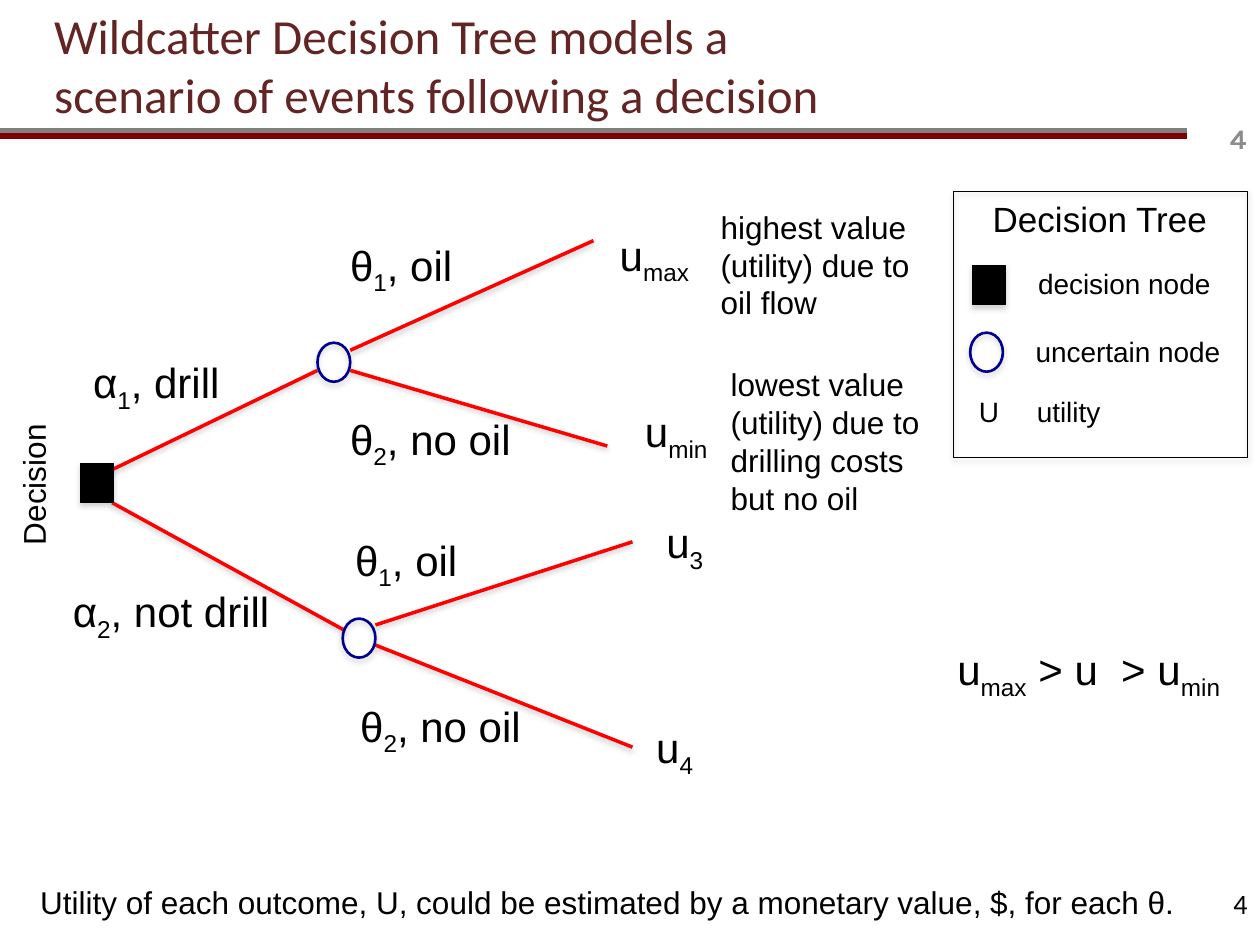
from dataclasses import dataclass

from lxml import etree
from pptx import Presentation
from pptx.dml.color import RGBColor
from pptx.enum.shapes import MSO_CONNECTOR, MSO_SHAPE
from pptx.enum.text import MSO_ANCHOR, MSO_AUTO_SIZE, PP_ALIGN
from pptx.oxml.ns import qn
from pptx.util import Inches, Pt

STRAIGHT = MSO_CONNECTOR.STRAIGHT
RECTANGLE, OVAL = MSO_SHAPE.RECTANGLE, MSO_SHAPE.OVAL
LEFT, RIGHT = PP_ALIGN.LEFT, PP_ALIGN.RIGHT
TOP, MIDDLE = MSO_ANCHOR.TOP, MSO_ANCHOR.MIDDLE

BLACK = RGBColor(0x00, 0x00, 0x00)
RED = RGBColor(0xFF, 0x00, 0x00)
NAVY = RGBColor(0x00, 0x00, 0x90)
GRAY = RGBColor(0x80, 0x80, 0x80)
MAROON = RGBColor(0x80, 0x00, 0x00)
TITLE_BROWN = RGBColor(0x63, 0x25, 0x23)
NUMBER_GRAY = RGBColor(0x8C, 0x8C, 0x8C)

NODE_WIDTH, NODE_HEIGHT = 0.26, 0.31
LABEL_HEIGHT = 0.51


@dataclass
class Label:
    """Text in a box; parts between underscores are subscripts."""
    text: str
    left: float
    top: float
    width: float
    height: float = LABEL_HEIGHT
    size: int = 24
    wrap: bool = False
    font: str = "Arial"
    color: RGBColor = BLACK
    bold: bool = False
    align: PP_ALIGN = LEFT
    anchor: MSO_ANCHOR = TOP
    rotation: float = 0


@dataclass
class Branch:
    start: tuple[float, float]
    end: tuple[float, float]


@dataclass
class Node:
    kind: MSO_SHAPE
    left: float
    top: float


BRANCHES = [
    Branch((0.74, 3.8), (2.52, 2.94)),
    Branch((0.89, 3.99), (2.73, 5)),
    Branch((2.78, 2.78), (4.71, 1.91)),
    Branch((2.78, 2.94), (4.82, 3.54)),
    Branch((2.98, 4.96), (5.02, 4.3)),
    Branch((2.98, 5.12), (5.02, 5.93)),
]

NODES = [
    Node(RECTANGLE, 0.64, 3.68),
    Node(OVAL, 2.52, 2.72),
    Node(OVAL, 2.72, 4.91),
    # Legend samples
    Node(RECTANGLE, 7.72, 2.11),
    Node(OVAL, 7.7, 2.64),
]

LABELS = [
    # Slide numbers
    Label("4", 9.17, 0.9, 0.82, 0.4, 16, True, "Karla", NUMBER_GRAY, True, RIGHT, MIDDLE),
    Label("4", 7.67, 6.97, 2.33, 0.4, 16, True, "Calibri", align=RIGHT, anchor=MIDDLE),
    # Decisions and events
    Label("Decision", -0.32, 3.64, 1.17, 0.4, 18, rotation=270),
    Label("α_1_, drill", 0.64, 2.78, 1.23),
    Label("α_2_, not drill", 0.48, 4.6, 2.21, wrap=True),
    Label("θ_1_, oil", 2.68, 1.85, 1.04),
    Label("θ_2_, no oil", 2.68, 3.23, 1.51),
    Label("θ_1_, oil", 2.72, 4.19, 1.04),
    Label("θ_2_, no oil", 2.76, 5.51, 1.51),
    # Utilities
    Label("u_max_", 4.82, 1.77, 0.81),
    Label("u_min_", 5.02, 3.17, 0.75),
    Label("u_3_", 5.19, 4.05, 0.51),
    Label("u_4_", 5.11, 5.68, 0.51),
    Label("u_max_ > u  > u_min_", 7.5, 5.06, 2.5),
    Label("highest value (utility) due to oil flow", 5.62, 1.6, 1.72, 1.01, 18, True),
    Label("lowest value (utility) due to drilling costs but no oil",
          5.7, 2.85, 1.84, 1.31, 18, True),
    # Legend
    Label("Decision Tree", 7.78, 1.52, 1.92, 0.44, 20),
    Label("decision node", 8.14, 2.07, 1.69, 0.37, 16, True),
    Label("uncertain node", 8.12, 2.61, 1.69, 0.37, 16, True),
    Label("U", 7.67, 3.08, 0.4, 0.37, 16, True),
    Label("utility", 8.13, 3.08, 1.15, 0.37, 16, True),
    # Closing remark
    Label("Utility of each outcome, U, could be estimated by a monetary value, $, for each θ.",
          0.22, 6.96, 9.78, 0.4, 18, True),
]


def add_shadow(effects, distance: float, opacity: int) -> None:
    shadow = etree.SubElement(
        effects, qn("a:outerShdw"), blurRad=str(Pt(3.1)), dist=str(Pt(distance)),
        dir="5400000", rotWithShape="0")
    color = etree.SubElement(shadow, qn("a:srgbClr"), val=str(GRAY))
    etree.SubElement(color, qn("a:alpha"), val=str(opacity * 1000))


def add_line(slide, branch: Branch, color: RGBColor, width: float, shaded: bool) -> None:
    ends = [Inches(value) for value in (*branch.start, *branch.end)]
    connector = slide.shapes.add_connector(STRAIGHT, *ends)
    connector.line.color.rgb = color
    connector.line.width = Pt(width)
    effects = etree.SubElement(connector._element.spPr, qn("a:effectLst"))
    if shaded:
        add_shadow(effects, 1.6, 38)


def add_outline(slide, kind: MSO_SHAPE, left: float, top: float, width: float,
                height: float, color: RGBColor, line_width: float):
    shape = slide.shapes.add_shape(
        kind, Inches(left), Inches(top), Inches(width), Inches(height))
    shape.fill.background()
    shape.line.color.rgb = color
    shape.line.width = Pt(line_width)
    shape.shadow.inherit = False
    add_shadow(shape._element.spPr.find(qn("a:effectLst")), 1.8, 35)
    return shape


def add_node(slide, node: Node) -> None:
    is_decision = node.kind == RECTANGLE
    color, line_width = (BLACK, 0.75) if is_decision else (NAVY, 1.5)
    shape = add_outline(slide, node.kind, node.left, node.top,
                        NODE_WIDTH, NODE_HEIGHT, color, line_width)
    if is_decision:
        shape.fill.solid()
        shape.fill.fore_color.rgb = BLACK


def add_label(slide, label: Label) -> None:
    box = slide.shapes.add_textbox(Inches(label.left), Inches(label.top),
                                   Inches(label.width), Inches(label.height))
    box.rotation = label.rotation
    frame = box.text_frame
    frame.word_wrap = label.wrap
    frame.auto_size = MSO_AUTO_SIZE.SHAPE_TO_FIT_TEXT
    frame.vertical_anchor = label.anchor
    paragraph = frame.paragraphs[0]
    paragraph.alignment = label.align
    font = paragraph.font
    font.name, font.size, font.bold = label.font, Pt(label.size), label.bold
    font.color.rgb = label.color
    for index, part in enumerate(label.text.split("_")):
        if part:
            run = paragraph.add_run()
            run.text = part
            if index % 2:
                run.font._element.set("baseline", "-25000")


def add_title(slide, text: str) -> None:
    title = slide.shapes.title
    title.left, title.top = Inches(0.33), Inches(0.06)
    title.width, title.height = Inches(6.92), Inches(0.9)
    frame = title.text_frame
    frame.text = text
    frame.auto_size = MSO_AUTO_SIZE.NONE
    frame.vertical_anchor = MIDDLE
    paragraph = frame.paragraphs[0]
    paragraph.alignment = LEFT
    paragraph.font.name, paragraph.font.size = "Calibri", Pt(28)
    paragraph.font.color.rgb = TITLE_BROWN


def main() -> None:
    presentation = Presentation()
    presentation.slide_width, presentation.slide_height = Inches(10), Inches(7.5)
    slide = presentation.slides.add_slide(presentation.slide_layouts[5])

    # Title and its double rule
    for height, color in ((1.04, GRAY), (1.08, MAROON)):
        add_line(slide, Branch((0, height), (9.42, height)), color, 3, False)
    add_title(slide, "Wildcatter Decision Tree models a scenario of events following a decision")

    # Tree and legend
    for branch in BRANCHES:
        add_line(slide, branch, RED, 2, True)
    add_outline(slide, RECTANGLE, 7.57, 1.52, 2.33, 2.11, BLACK, 0.75)
    for node in NODES:
        add_node(slide, node)
    for label in LABELS:
        add_label(slide, label)

    presentation.save("out.pptx")


if __name__ == "__main__":
    main()
